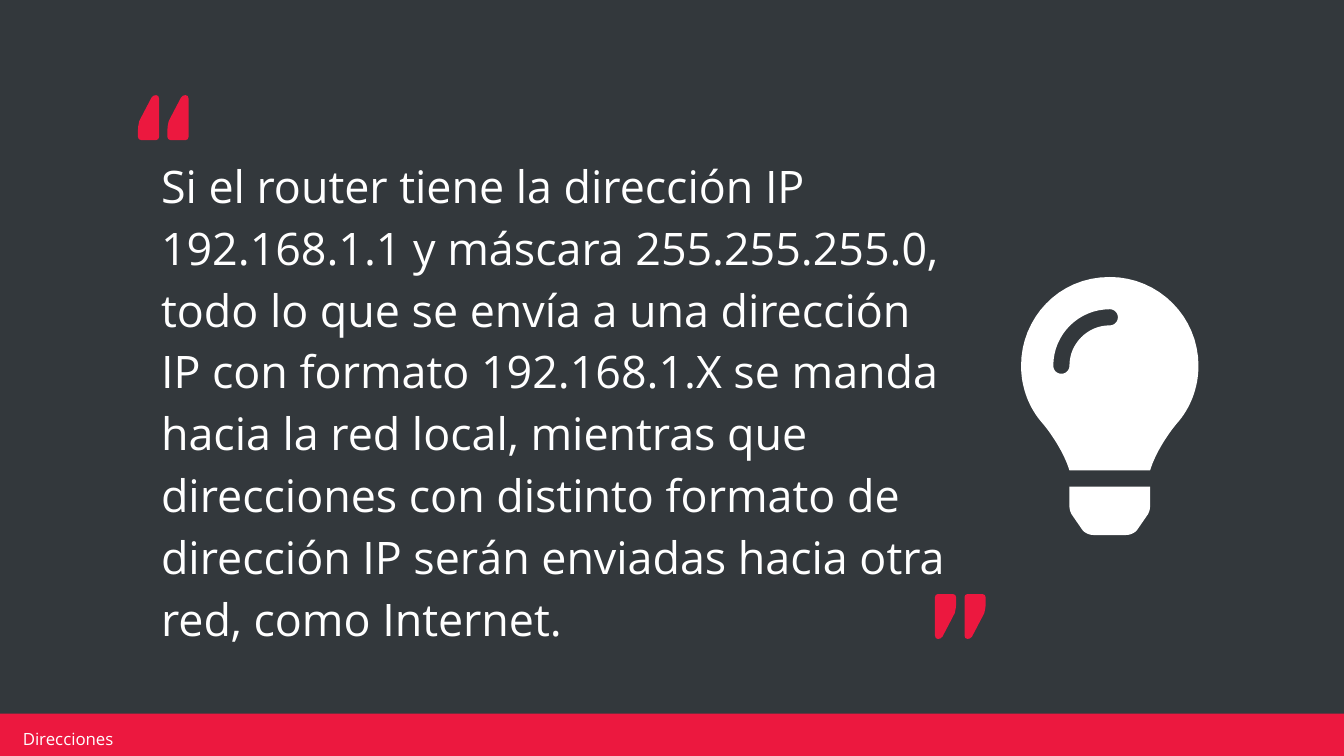
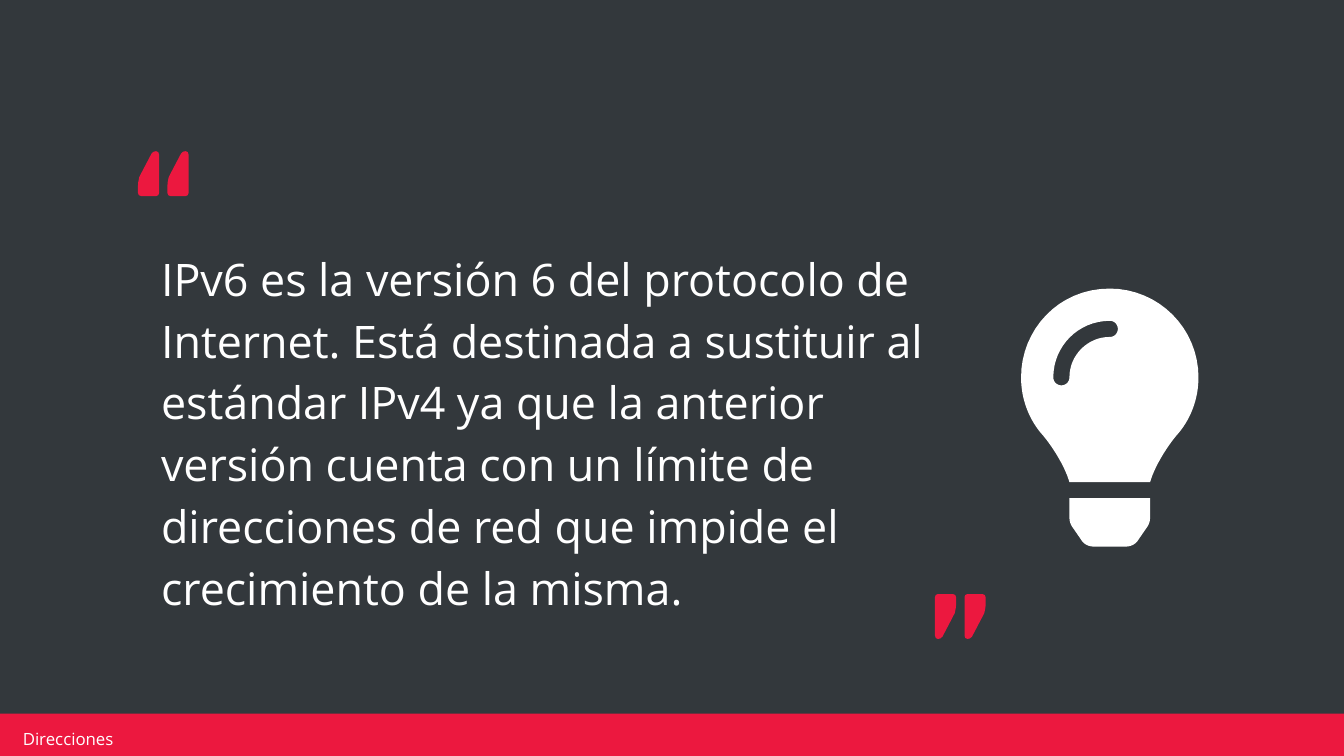
from dataclasses import dataclass

from pptx import Presentation, util as u
from pptx.dml.color import RGBColor
from pptx.enum import shapes, text

Pt = u.Pt


@dataclass(frozen=True)
class Theme:
    night: RGBColor = RGBColor.from_string("33383C")
    red: RGBColor = RGBColor.from_string("EC183F")
    white: RGBColor = RGBColor.from_string("FFFFFF")
    font: str = "Open Sans"
    quote_size: int = 24
    footer_size: int = 9


QUOTE_LINE = 33.1
MARK_STEP = 15.8
MARK = [
    (9.7, 0), (8.4, 0.3), (7.3, 1.3), (2, 11.4), (0.7, 14), (0.1, 17), (0, 19),
    (0, 22.4), (0.5, 23.6), (1.7, 24.1), (9.7, 24.1), (10.9, 23.6),
    (11.3, 22.4), (11.3, 1.8), (10.9, 0.5),
]

BULB_SCALE = 0.27
BULB_BASE = [
    (96, 454), (96, 461, 98, 467, 101, 472), (119, 498),
    (124, 507, 134, 512, 145, 512), (207, 512),
    (218, 512, 228, 507, 233, 498), (251, 472),
    (254, 467, 256, 461, 256, 454), (256, 416), (96, 416),
]
BULB_GLASS = [
    (0, 176), (0, 220, 16, 261, 44, 292), (60, 311, 86, 350, 96, 384),
    (256, 384), (266, 350, 292, 311, 308, 292),
    (336, 261, 352, 220, 352, 176), (352, 79, 273, 0, 176, 0),
    (73, 0, 0, 83, 0, 176),
]
BULB_GLINT = [
    (176, 96), (132, 96, 96, 132, 96, 176), (96, 185, 89, 192, 80, 192),
    (71, 192, 64, 185, 64, 176), (64, 114, 114, 64, 176, 64),
    (185, 64, 192, 71, 192, 80), (192, 89, 185, 96, 176, 96),
]


def trace(steps, pieces=16):
    points = [steps[0]]
    for step in steps[1:]:
        if len(step) == 2:
            points.append(step)
            continue
        anchors = [points[-1], step[:2], step[2:4], step[4:]]
        for i in range(1, pieces + 1):
            t = i / pieces
            weights = ((1 - t) ** 3, 3 * t * (1 - t) ** 2, 3 * t * t * (1 - t), t ** 3)
            points.append(tuple(
                sum(w * a[axis] for w, a in zip(weights, anchors)) for axis in (0, 1)
            ))
    return points


class Deck:
    def __init__(self, theme):
        self.theme = theme
        self.prs = Presentation()
        self.prs.slide_width, self.prs.slide_height = Pt(720), Pt(405)
        backdrop = self.prs.slide_master.background.fill
        backdrop.solid()
        backdrop.fore_color.rgb = theme.night
        self.slide = None

    def new_slide(self, section):
        self.slide = self.prs.slides.add_slide(self.prs.slide_layouts[6])
        band = self.slide.shapes.add_shape(
            shapes.MSO_SHAPE.RECTANGLE, Pt(-1.4), Pt(382.3), Pt(722.2), Pt(25.9)
        )
        self.paint(band, self.theme.red)
        self.words(section, (8.6, 390.2, 172.1, 10.8), self.theme.footer_size,
                   (3.6, 1.4, 3.6, 1.4))

    def paint(self, shape, color):
        shape.shadow.inherit = False
        shape.fill.solid()
        shape.fill.fore_color.rgb = color
        shape.line.fill.background()

    def words(self, wording, box, size, insets, spacing=None):
        frame = self.slide.shapes.add_textbox(*map(Pt, box)).text_frame
        frame.word_wrap = True
        frame.auto_size = text.MSO_AUTO_SIZE.NONE
        frame.vertical_anchor = text.MSO_ANCHOR.MIDDLE
        (frame.margin_left, frame.margin_top,
         frame.margin_right, frame.margin_bottom) = map(Pt, insets)
        frame.text = wording
        paragraph = frame.paragraphs[0]
        paragraph.line_spacing = spacing
        font = paragraph.runs[0].font
        font.name, font.size = self.theme.font, Pt(size)
        font.color.rgb = self.theme.white

    def outline(self, canvas, contours, left, top, color, scale=1):
        placed = [
            [(Pt(left + x * scale), Pt(top + y * scale)) for x, y in contour]
            for contour in contours
        ]
        builder = canvas.build_freeform(*placed[0][0])
        builder.add_line_segments(placed[0][1:])
        for contour in placed[1:]:
            builder.move_to(*contour[0])
            builder.add_line_segments(contour[1:])
        shape = builder.convert_to_shape()
        self.paint(shape, color)
        return shape

    def quote_marks(self, left, top, rotation=0):
        pair = self.slide.shapes.add_group_shape()
        for i in range(2):
            mark = self.outline(pair.shapes, [MARK], left + i * MARK_STEP, top, self.theme.red)
            mark.rotation = rotation

    def bulb(self, top):
        contours = [trace(part) for part in (BULB_BASE, BULB_GLASS, BULB_GLINT)]
        self.outline(self.slide.shapes, contours, 547, top, self.theme.white, BULB_SCALE)

    def quote(self, wording, marks_top, bulb_top, room_below=0):
        self.words(wording, (79.2, 149.8, 435.6, 159.8), self.theme.quote_size,
                   (7.2, 3.6, 7.2, 3.6 + room_below), 1.15)
        self.bulb(bulb_top)
        self.quote_marks(73.9, marks_top)
        self.quote_marks(500.9, 318.2, 180)


def main():
    deck = Deck(Theme())
    deck.new_slide("Direcciones")
    deck.quote(
        "Si el router tiene la dirección IP 192.168.1.1 y máscara 255.255.255.0, "
        "todo lo que se envía a una dirección IP con formato 192.168.1.X se manda "
        "hacia la red local, mientras que direcciones con distinto formato de "
        "dirección IP serán enviadas hacia otra red, como Internet.",
        marks_top=51, bulb_top=148.4, room_below=QUOTE_LINE,
    )
    deck.new_slide("Direcciones")
    deck.quote(
        "IPv6 es la versión 6 del protocolo de Internet. Está destinada a sustituir "
        "al estándar IPv4 ya que la anterior versión cuenta con un límite de "
        "direcciones de red que impide el crecimiento de la misma.",
        marks_top=81, bulb_top=154.6,
    )
    deck.prs.save("out.pptx")


if __name__ == "__main__":
    main()
